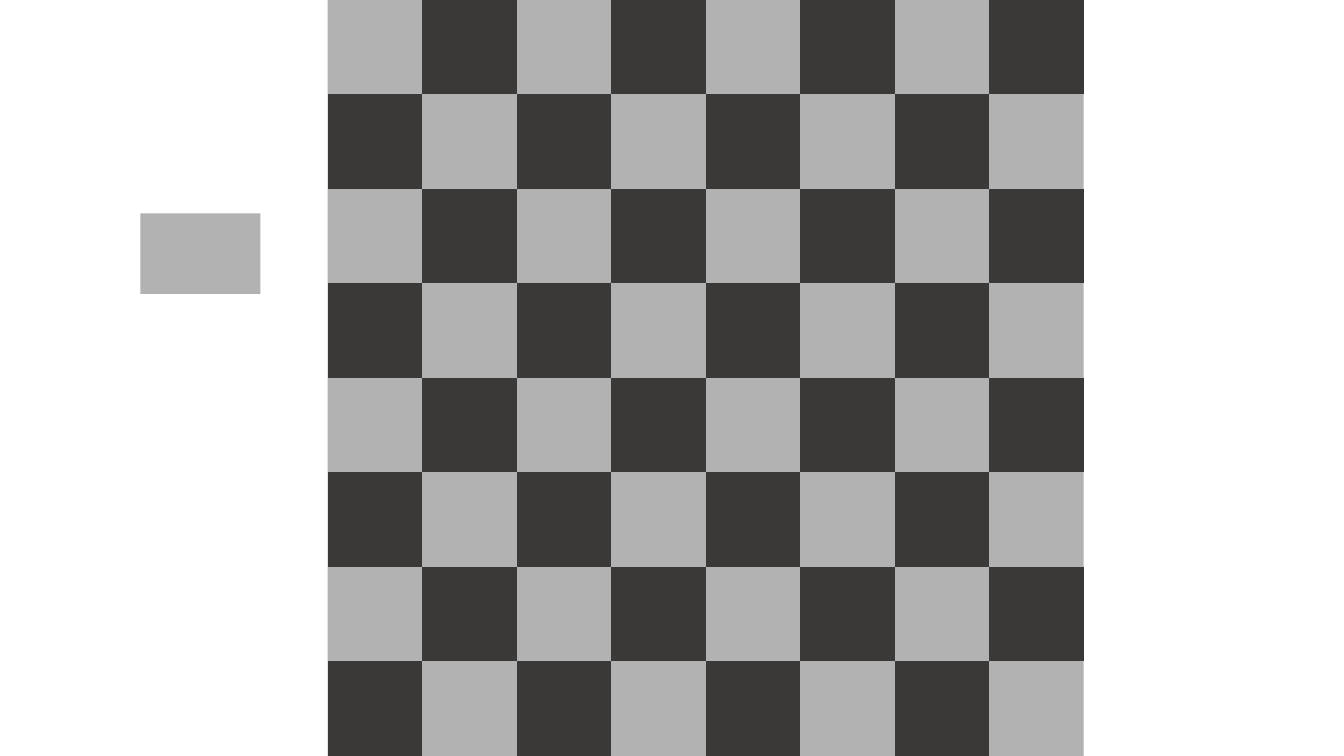
from pptx import Presentation
from pptx import util as u
from pptx.dml.color import RGBColor
from pptx.enum import shapes
from pptx.oxml import ns

LIGHT, DARK = "B2B2B2", "3B3838"
NO_GRID_STYLE = "{2D5ABB26-0587-4C30-8999-92F81FD0307C}"


def paint(fill, color):
    fill.solid()
    fill.fore_color.rgb = RGBColor.from_string(color)


class Board:
    """Holds the colours and the current slide."""

    def __init__(self, page, light, dark):
        self.page, self.light, self.dark = page, light, dark

    def rectangle(self, left, top, width, height):
        box = self.page.shapes.add_shape(
            shapes.MSO_SHAPE.RECTANGLE,
            u.Pt(left), u.Pt(top), u.Pt(width), u.Pt(height))
        box.shadow.inherit = False
        paint(box.fill, self.light)
        box.line.fill.background()

    def checkers(self, left, top, size, count):
        table = self.page.shapes.add_table(
            count, count, u.Pt(left), u.Pt(top), u.Pt(size), u.Pt(size)).table
        table.first_row = table.horz_banding = False
        table._tbl.tblPr.find(ns.qn("a:tableStyleId")).text = NO_GRID_STYLE
        for row in range(count):
            for column in range(count):
                fill = table.cell(row, column).fill
                if (row + column) % 2:
                    paint(fill, self.dark)
                else:
                    fill.background()


deck = Presentation()
deck.slide_width, deck.slide_height = u.Pt(960), u.Pt(540)
page = deck.slides.add_slide(deck.slide_layouts[6])
board = Board(page, LIGHT, DARK)

# Chessboard: light base with dark squares above it
board.rectangle(234, 0, 540, 540)
board.checkers(234, 0, 540, 8)

# Separate light swatch
board.rectangle(100.3, 152.5, 85.7, 57.5)

deck.save("out.pptx")
